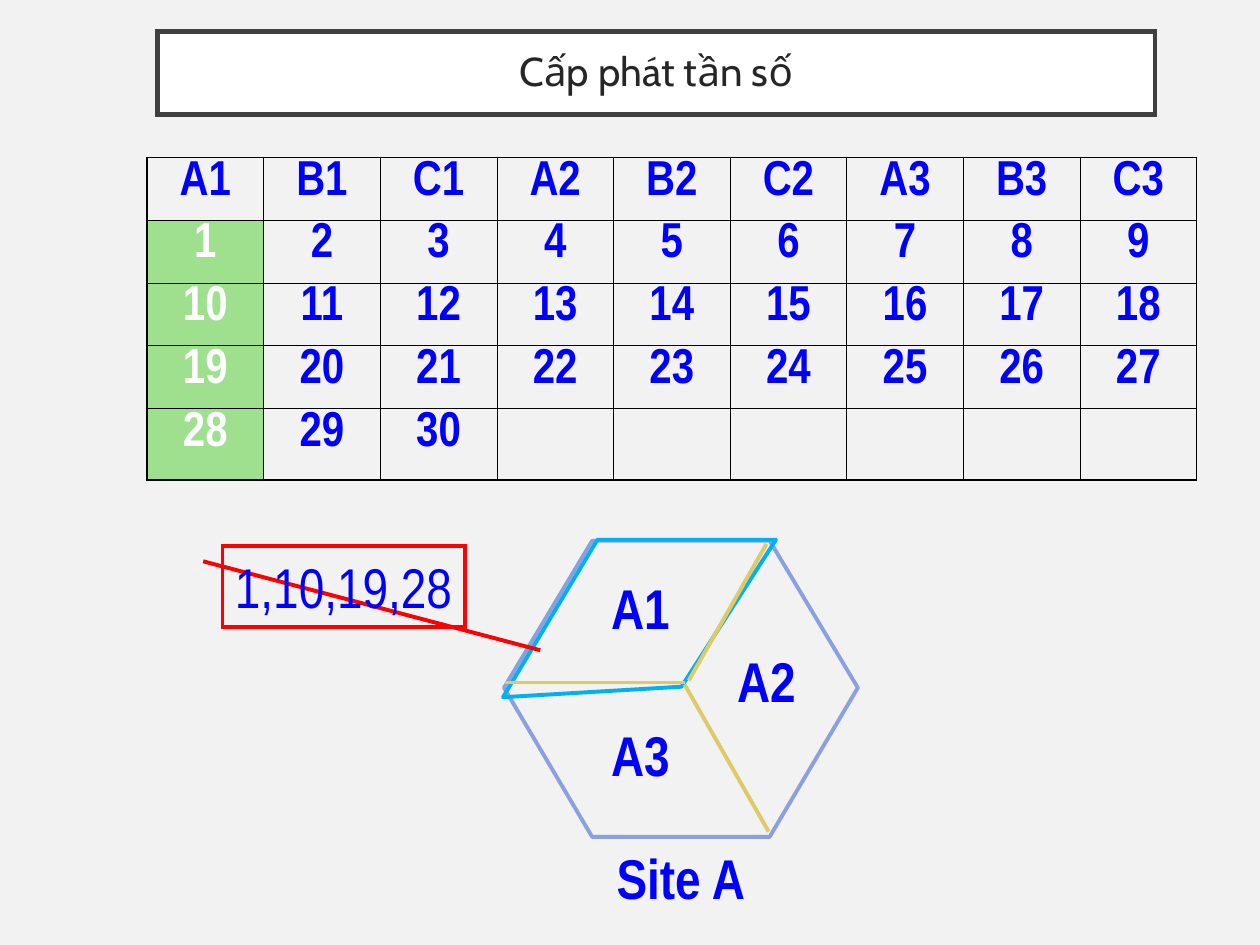
"""Build the frequency allocation slide with its channel table and sectored cell."""
import pptx
import pptx.util
import pptx.dml.color
import pptx.enum.shapes
import pptx.enum.text
import pptx.oxml
import pptx.oxml.ns
import lxml.etree

COLOURS = {
    "background": "F2F2F2", "white": "FFFFFF", "frame": "404040", "title": "262626",
    "blue": "0000FF", "green": "9EE08E", "black": "000000", "cell": "8BA1DF",
    "sector": "00B0F0", "divider": "DECA66", "callout": "FF0000",
}
RGB = {name: pptx.dml.color.RGBColor.from_string(value) for name, value in COLOURS.items()}
ALIGN = pptx.enum.text.PP_ALIGN
ANCHOR = pptx.enum.text.MSO_ANCHOR
FIT = pptx.enum.text.MSO_AUTO_SIZE
Pt = pptx.util.Pt

presentation = pptx.Presentation()
presentation.slide_width = pptx.util.Inches(10)
presentation.slide_height = pptx.util.Inches(7.5)
UNIT = presentation.slide_width / 120


def grid(*counts):
    """Turn counts of grid columns or rows into lengths."""
    return [pptx.util.Emu(round(count * UNIT)) for count in counts]


def write(frame, text, colour, frame_format, paragraph_format, font_format):
    """Put one formatted paragraph in a text frame."""
    paragraph = frame.paragraphs[0]
    run = paragraph.add_run()
    run.text = text
    run.font.color.rgb = RGB[colour]
    for target, values in ((frame, frame_format), (paragraph, paragraph_format),
                           (run.font, font_format)):
        for name, value in values.items():
            setattr(target, name, value)


slide = presentation.slides.add_slide(presentation.slide_layouts[5])
slide.background.fill.solid()
slide.background.fill.fore_color.rgb = RGB["background"]

title = slide.shapes.title
title.left, title.top, title.width, title.height = grid(15, 3, 95, 7.9)
title.fill.solid()
title.fill.fore_color.rgb = RGB["white"]
title.line.color.rgb = RGB["frame"]
title.line.width = Pt(2.5)
inset = pptx.util.Inches(0.2)
write(title.text_frame, "Cấp phát tần số", "title",
      {"vertical_anchor": ANCHOR.MIDDLE, "auto_size": FIT.NONE, "word_wrap": True,
       "margin_left": inset, "margin_right": inset, "margin_top": inset, "margin_bottom": inset},
      {"alignment": ALIGN.CENTER, "line_spacing": 0.9},
      {"name": "Cabin", "size": Pt(23)})

headings = [f"{letter}{number}" for number in (1, 2, 3) for letter in "ABC"]
column_count, row_count, channel_count = len(headings), 5, 30
table = slide.shapes.add_table(row_count, column_count, *grid(14, 15, 100, 30.7)).table
table.first_row = table.horz_banding = False
for column in table.columns:
    column.width = grid(100 / column_count)[0]
for row in table.rows:
    row.height = grid(5.98)[0]
table.rows[row_count - 1].height = grid(6.78)[0]

for index, cell in enumerate(table.iter_cells()):
    row, column = divmod(index, column_count)
    properties = cell._tc.get_or_add_tcPr()
    outer = {"lnL": column == 0, "lnR": column == column_count - 1,
             "lnT": row == 0, "lnB": row == row_count - 1}
    for side, is_outer in outer.items():
        properties.append(pptx.oxml.parse_xml(
            f'<a:{side} {pptx.oxml.ns.nsdecls("a")} w="{Pt(1.08 if is_outer else 0.45)}">'
            f'<a:solidFill><a:srgbClr val="{COLOURS["black"]}"/></a:solidFill></a:{side}>'))
    allocated = column == 0 and row > 0
    if allocated:
        cell.fill.solid()
        cell.fill.fore_color.rgb = RGB["green"]
    else:
        cell.fill.background()
    channel = index - column_count + 1
    if channel <= channel_count:
        write(cell.text_frame, headings[column] if row == 0 else str(channel),
              "white" if allocated else "blue", {},
              {"alignment": ALIGN.CENTER, "line_spacing": 0.85, "space_after": Pt(7)},
              {"name": "Arial Narrow", "size": Pt(28), "bold": True})

outlines = [
    ("cell", [(56.4, 51.5), (48, 65.5), (56.4, 79.7), (73.3, 79.7), (81.7, 65.5), (73.3, 51.5)]),
    ("sector", [(47.9, 66.4), (56.9, 51.4), (73.9, 51.4), (64.9, 65.4)]),
]
for colour, points in outlines:
    corners = [grid(*point) for point in points]
    builder = slide.shapes.build_freeform(*corners[0])
    builder.add_line_segments(corners[1:], close=True)
    outline = builder.convert_to_shape()
    outline.shadow.inherit = False
    outline.fill.background()
    outline.line.color.rgb = RGB[colour]
    outline.line.width = Pt(2.25)

for ends in ((65.2, 65.2, 73.2, 79.2), (65.6, 64.8, 73, 51.8), (48.1, 65, 65.2, 65)):
    divider = slide.shapes.add_connector(pptx.enum.shapes.MSO_CONNECTOR.STRAIGHT, *grid(*ends))
    divider.line.color.rgb = RGB["divider"]
    divider.line.width = Pt(2.25)
    lxml.etree.SubElement(divider._element.spPr, pptx.oxml.ns.qn("a:effectLst"))

labels = [("A1", 56, 54, 10), ("A2", 68, 61, 10), ("A3", 56, 68, 10), ("Site A", 54.4, 79.7, 20.9)]
for text, left, top, width in labels:
    label = slide.shapes.add_textbox(*grid(left, top, width, 7.7))
    write(label.text_frame, text, "blue",
          {"word_wrap": True, "auto_size": FIT.SHAPE_TO_FIT_TEXT},
          {"alignment": ALIGN.CENTER},
          {"name": "Arial Narrow", "size": Pt(32), "bold": True})

callout = slide.shapes.add_shape(
    pptx.enum.shapes.MSO_SHAPE.LINE_CALLOUT_1, *grid(21.2, 52, 23.1, 7.7))
callout.shadow.inherit = False
callout.fill.background()
callout.line.color.rgb = RGB["callout"]
callout.line.width = Pt(2.25)
for position, value in enumerate((0.19, -0.08, 1.29, 1.31)):
    callout.adjustments[position] = value
write(callout.text_frame, "1,10,19,28", "blue",
      {"word_wrap": False, "auto_size": FIT.SHAPE_TO_FIT_TEXT,
       "vertical_anchor": ANCHOR.TOP, "margin_right": 0},
      {"alignment": ALIGN.LEFT},
      {"name": "Arial Narrow", "size": Pt(32)})

for framed in (title, callout):
    miter = lxml.etree.SubElement(framed.line._get_or_add_ln(), pptx.oxml.ns.qn("a:miter"))
    miter.set("lim", "800000")

presentation.save("out.pptx")
